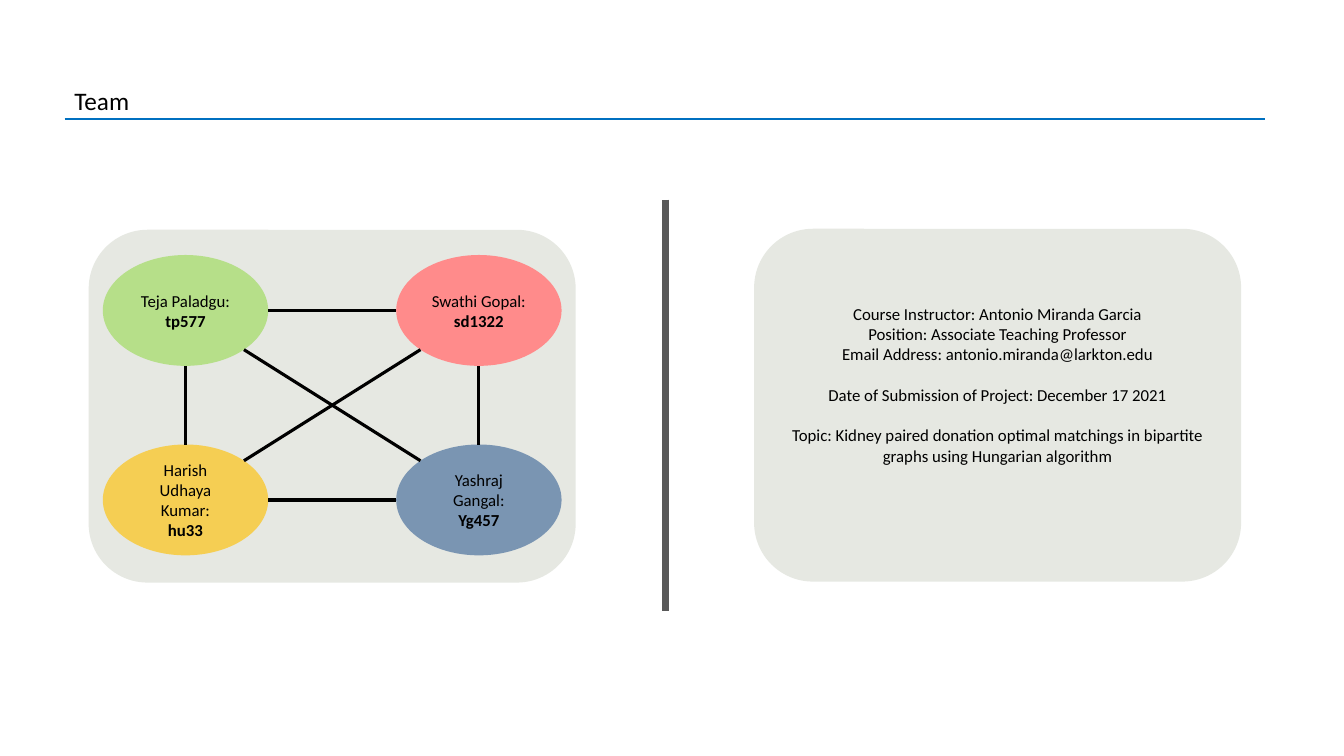
"""Build the team slide: four linked members beside the project details."""
import itertools
import math

import lxml.etree
import pptx
import pptx.dml.color
import pptx.enum.shapes
import pptx.enum.text
import pptx.oxml.ns
import pptx.util

Inches = pptx.util.Inches
SHAPES = pptx.enum.shapes.MSO_SHAPE
CENTER = pptx.enum.text.PP_ALIGN.CENTER
MIDDLE = pptx.enum.text.MSO_ANCHOR.MIDDLE

OVAL_WIDTH, OVAL_HEIGHT = 1.64, 1.1
LEFT, RIGHT = 1.84, 4.75
TOP, BOTTOM = 3.08, 4.96
MEMBERS = [
    ("Teja Paladgu:", "tp577", LEFT, TOP, "B6DF89", 100),
    ("Harish Udhaya Kumar:", "hu33", LEFT, BOTTOM, "FFC000", 63),
    ("Yashraj Gangal:", "Yg457", RIGHT, BOTTOM, "597BA4", 76),
    ("Swathi Gopal:", "sd1322", RIGHT, TOP, "FF8B8B", 100),
]
DETAILS = [
    "Course Instructor: Antonio Miranda Garcia",
    "Position: Associate Teaching Professor",
    "Email Address: antonio.miranda@larkton.edu",
    "Date of Submission of Project: December 17 2021",
    "Topic: Kidney paired donation optimal matchings in bipartite graphs using Hungarian algorithm",
]
SECTION_STARTS = (3, 4)
LINE_HEIGHT = 14.6


def color(value):
    return pptx.dml.color.RGBColor.from_string(value)


def oval_edge(start, end):
    angle = math.atan2(
        (end[1] > start[1]) - (end[1] < start[1]),
        (end[0] > start[0]) - (end[0] < start[0]),
    )
    return (
        start[0] + OVAL_WIDTH / 2 * math.cos(angle),
        start[1] + OVAL_HEIGHT / 2 * math.sin(angle),
    )


class TeamSlide:
    font = "Calibri"
    ink = "000000"
    panel_fill = "E6E8E2"

    def __init__(self, presentation):
        self.slide = presentation.slides.add_slide(presentation.slide_layouts[6])

    def set_text(self, frame, lines, size, alignment=None):
        frame.word_wrap = True
        frame.text = "\n".join(lines)
        for paragraph in frame.paragraphs:
            paragraph.alignment = alignment
            for run in paragraph.runs:
                run.font.name = self.font
                run.font.size = pptx.util.Pt(size)
                run.font.color.rgb = color(self.ink)

    def block(self, kind, left, top, width, height, fill, opacity=100):
        shape = self.slide.shapes.add_shape(
            kind, Inches(left), Inches(top), Inches(width), Inches(height)
        )
        shape.shadow.inherit = False
        shape.fill.solid()
        shape.fill.fore_color.rgb = color(fill)
        shape.line.fill.background()
        shape.text_frame.vertical_anchor = MIDDLE
        if opacity < 100:
            qn = pptx.oxml.ns.qn
            tint = shape._element.spPr.find(".//" + qn("a:srgbClr"))
            lxml.etree.SubElement(tint, qn("a:alpha")).set("val", str(opacity * 1000))
        return shape

    def panel(self, left, top):
        return self.block(SHAPES.ROUNDED_RECTANGLE, left, top, 4.83, 3.5, self.panel_fill)

    def member(self, name, code, x, y, fill, opacity):
        oval = self.block(
            SHAPES.OVAL, x - OVAL_WIDTH / 2, y - OVAL_HEIGHT / 2,
            OVAL_WIDTH, OVAL_HEIGHT, fill, opacity,
        )
        self.set_text(oval.text_frame, [name, code], 12, CENTER)
        oval.text_frame.paragraphs[1].runs[0].font.bold = True

    def line(self, start, end, stroke, width):
        connector = self.slide.shapes.add_connector(
            pptx.enum.shapes.MSO_CONNECTOR.STRAIGHT,
            *(Inches(value) for value in (*start, *end)),
        )
        connector.line.color.rgb = color(stroke)
        connector.line.width = pptx.util.Pt(width)
        lxml.etree.SubElement(
            connector._element.spPr, pptx.oxml.ns.qn("a:effectLst")
        )

    def title(self, text):
        box = self.slide.shapes.add_textbox(
            Inches(0.64), Inches(0.8), Inches(1.64), Inches(0.4)
        )
        self.set_text(box.text_frame, [text], 18)

    def details(self, left, top):
        frame = self.panel(left, top).text_frame
        frame.margin_bottom = Inches(0.46)
        self.set_text(frame, DETAILS, 12, CENTER)
        for index in SECTION_STARTS:
            frame.paragraphs[index].space_before = pptx.util.Pt(LINE_HEIGHT)


def main():
    presentation = pptx.Presentation()
    presentation.slide_width = Inches(13.33)
    presentation.slide_height = Inches(7.5)
    team = TeamSlide(presentation)
    team.panel(0.88, 2.28)
    for member in MEMBERS:
        team.member(*member)
    centers = [member[2:4] for member in MEMBERS]
    for first, second in itertools.combinations(centers, 2):
        team.line(oval_edge(first, second), oval_edge(second, first), team.ink, 2.25)
    team.line((0.64, 1.18), (12.55, 1.18), "0070C0", 1.5)
    team.line((6.6, 1.98), (6.6, 6.06), "595959", 4.5)
    team.title("Team")
    team.details(7.48, 2.27)
    presentation.save("out.pptx")


if __name__ == "__main__":
    main()
